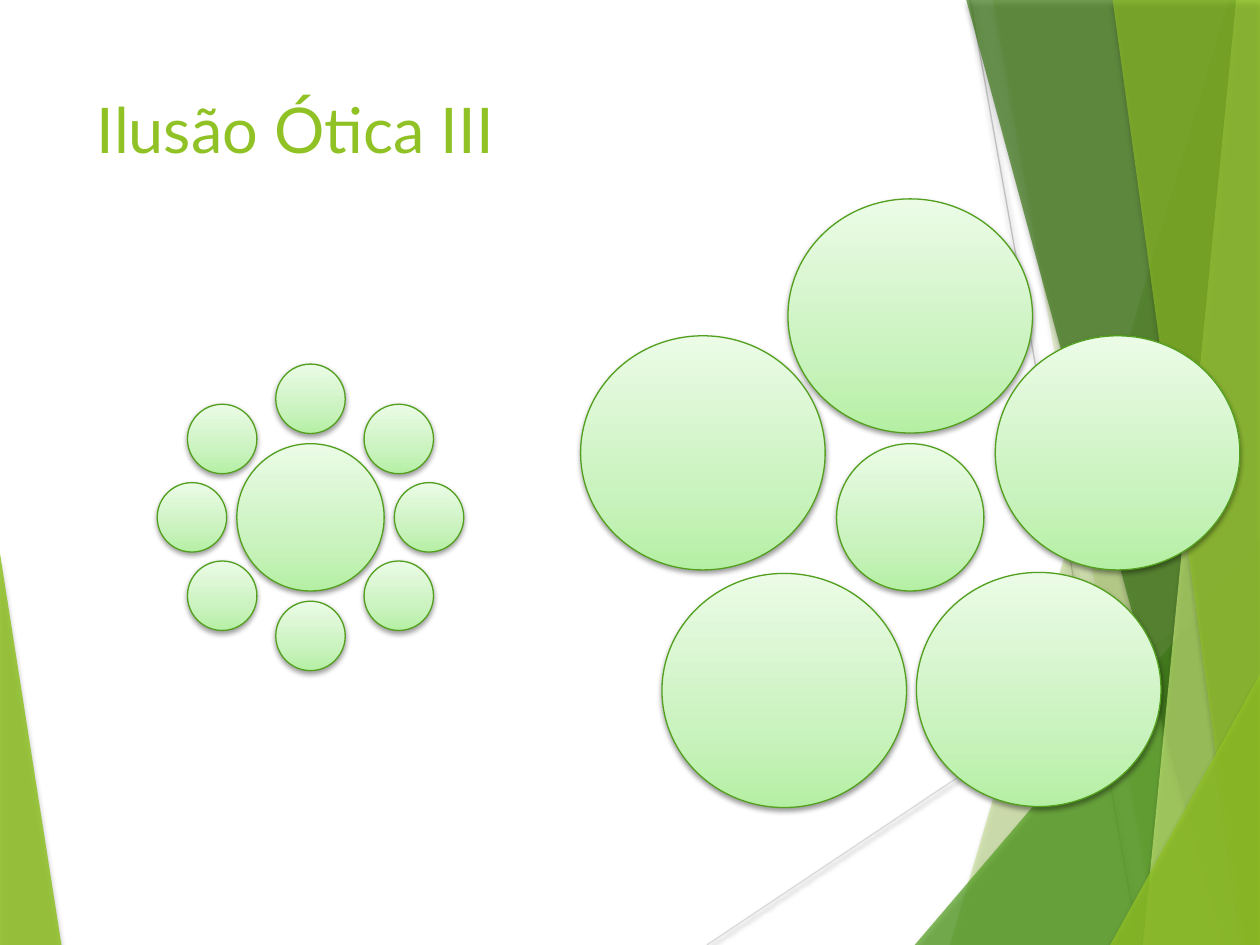
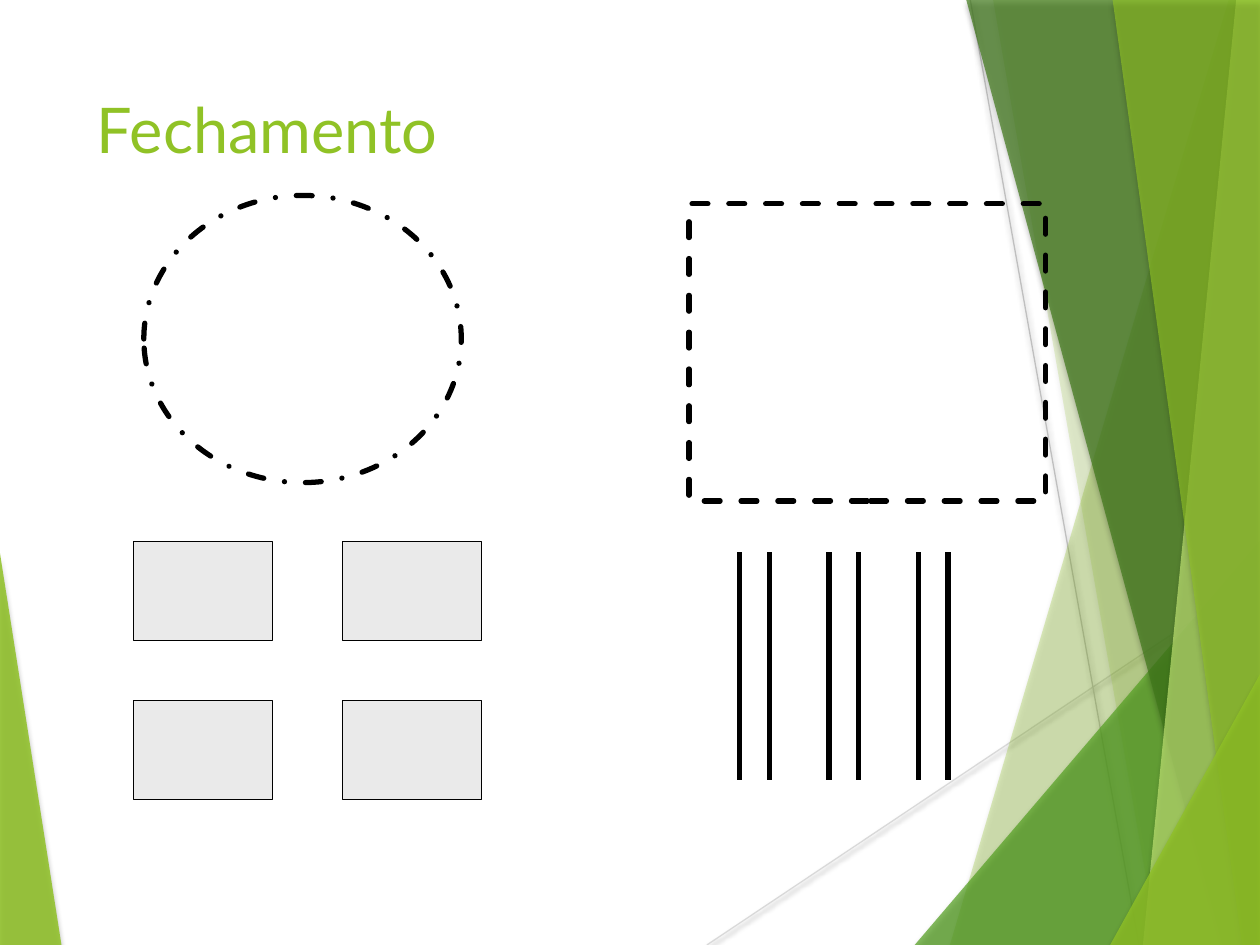
"""Build two slides on visual perception over a shared green backdrop."""
from copy import deepcopy
from itertools import product

from lxml.etree import SubElement as Sub
from pptx import Presentation
from pptx.dml.color import RGBColor
from pptx.enum.dml import MSO_LINE as Dash
from pptx.enum.shapes import MSO_CONNECTOR as Link, MSO_SHAPE as Kind
from pptx.enum.text import MSO_ANCHOR as Anchor, MSO_AUTO_SIZE as Fit, PP_ALIGN as Align
from pptx.oxml.ns import qn
from pptx.util import Cm, Pt

WIDE, HIGH = 25.4, 19.05
LIME, LEAF, MOSS, PALE = "90C226", "54A021", "3F7819", "C0E474"
BLACK, GREY, EDGE = "000000", "EAEAEA", "52A01D"
FONT = "Lato"
SOFT, DEEP = (35, 3, 2), (38, 3.1, 1.6)
GLOSS = [(0, "B5EFA4"), (0.35, "CBF3C0"), (1, "EBFBE6")]

TITLES = ["Ilusão Ótica III", "Fechamento"]
TITLE_BOX = (1.7, 1.7, 17.63, 3.66)

WING = (LIME, 85, [(0, 11.15), (1.24, HIGH), (0, HIGH)])
RAYS = [
    ("D9D9D9", (14.25, HIGH), (WIDE, 11.6)),
    ("BFBFBF", (19.56, 0), (22.96, HIGH)),
]
BANDS = [
    (LIME, 30, [(24.77, 0), (19.15, HIGH), (WIDE, HIGH), (WIDE, 0)]),
    (LIME, 20, [(20.02, 0), (23.34, HIGH), (WIDE, HIGH), (WIDE, 0)]),
    (LEAF, 72, [(18.44, HIGH), (WIDE, 10.9), (WIDE, HIGH)]),
    (MOSS, 70, [(19.48, 0), (24.64, HIGH), (WIDE, HIGH), (WIDE, 0)]),
    (PALE, 70, [(24.92, 0), (23.04, HIGH), (WIDE, HIGH), (WIDE, 0)]),
    (LIME, 65, [(22.43, 0), (25.04, HIGH), (WIDE, HIGH), (WIDE, 0)]),
    (LIME, 80, [(22.38, HIGH), (WIDE, 13.59), (WIDE, HIGH)]),
]

HUBS = [(6.26, 10.43), (18.35, 10.43)]
HUB, BEAD, PETAL = (2.97, 2.97), (1.4, 1.4), (4.93, 4.72)
REACH, SLANT = 2.39, (1.78, 1.58)
PETALS = [(0, -4.06), (2.59, 3.47), (-2.54, 3.49), (4.18, -1.3), (-4.18, -1.3)]

DASHED = [
    (Kind.OVAL, (2.9, 3.94, 6.4, 5.79), Dash.DASH_DOT),
    (Kind.RECTANGLE, (13.89, 4.11, 7.19, 5.99), Dash.DASH),
]
TILE, TILE_XS, TILE_YS = (2.8, 2), (2.69, 6.91), (10.92, 14.12)
BAR_X, BAR_TOP, BAR_END = 14.91, 11.13, 15.72
PAIR_STEP, BAR_GAP = 1.8, 0.6


def hue(code):
    """Turn a hex string into a colour."""
    return RGBColor.from_string(code)


def write(shape, text, size=36, color=BLACK, align=Align.LEFT, anchor=Anchor.TOP):
    """Put formatted text in a shape."""
    frame = shape.text_frame
    frame.word_wrap, frame.auto_size = True, Fit.NONE
    frame.vertical_anchor = anchor
    para = frame.paragraphs[0]
    para.alignment = align
    run = para.add_run()
    run.text = text
    run.font.name, run.font.size = FONT, Pt(size)
    run.font.color.rgb = hue(color)


def stroke(shape, color, width=0.75, dash=None):
    """Outline a shape, with round caps when dashed."""
    shape.line.color.rgb = hue(color)
    shape.line.width = Pt(width)
    if dash:
        shape.line.dash_style = dash
        shape.element.spPr.find(qn("a:ln")).set("cap", "rnd")


def shade(shape, cast=None):
    """Give a finished shape a downward shadow, or none."""
    effect = Sub(shape.element.spPr, qn("a:effectLst"))
    if cast:
        alpha, blur, dist = cast
        drop = Sub(effect, qn("a:outerShdw"), blurRad=str(Pt(blur)),
                   dist=str(Pt(dist)), dir="5400000", rotWithShape="0")
        tint = Sub(drop, qn("a:srgbClr"), val=BLACK)
        Sub(tint, qn("a:alpha"), val=str(alpha * 1000))


def band(slide, color, alpha, points):
    """Draw a translucent polygon."""
    spots = [(Cm(x), Cm(y)) for x, y in points]
    build = slide.shapes.build_freeform(*spots[0])
    build.add_line_segments(spots[1:], close=True)
    shape = build.convert_to_shape()
    shape.fill.solid()
    shape.fill.fore_color.rgb = hue(color)
    tint = shape.element.spPr.find(".//" + qn("a:srgbClr"))
    Sub(tint, qn("a:alpha"), val=str(alpha * 1000))
    shape.line.fill.background()
    shade(shape, SOFT)


def rule(slide, color, start, end, width=0.75, cast=None):
    """Draw a straight line."""
    line = slide.shapes.add_connector(Link.STRAIGHT, *map(Cm, start + end))
    stroke(line, color, width)
    shade(line, cast)


def ball(slide, mid, size):
    """Draw a glossy ellipse around its centre."""
    (x, y), (w, h) = mid, size
    shape = slide.shapes.add_shape(Kind.OVAL, *map(Cm, (x - w / 2, y - h / 2, w, h)))
    fill = shape.fill
    fill.gradient()
    stops = shape.element.spPr.find(".//" + qn("a:gsLst"))
    stops.insert(1, deepcopy(stops[0]))
    for stop, (place, color) in zip(fill.gradient_stops, GLOSS):
        stop.position, stop.color.rgb = place, hue(color)
    fill.gradient_angle = 90
    stroke(shape, EDGE)
    shade(shape, DEEP)


def frame(slide, kind, box, fill=None, **line):
    """Draw a flat black outline, filled or empty."""
    shape = slide.shapes.add_shape(kind, *map(Cm, box))
    if fill:
        shape.fill.solid()
        shape.fill.fore_color.rgb = hue(fill)
    else:
        shape.fill.background()
    stroke(shape, BLACK, **line)
    shade(shape)


def dress(slide, layout):
    """Draw the backdrop and move it to the layout."""
    band(slide, *WING)
    for ray in RAYS:
        rule(slide, *ray, cast=DEEP)
    for item in BANDS:
        band(slide, *item)
    parts = [s for s in slide.shapes if not s.is_placeholder]
    for num, part in enumerate(parts, 100):
        part.element.xpath(".//p:cNvPr")[0].set("id", str(num))
        layout.shapes.element.append(part.element)


def start(deck, layout, text):
    """Add a slide with its title."""
    slide = deck.slides.add_slide(layout)
    title = slide.shapes.title
    title.left, title.top, title.width, title.height = map(Cm, TITLE_BOX)
    write(title, text, color=LIME)
    return slide


def illude(slide):
    """Ring equal discs with small beads and large petals."""
    for hub in HUBS:
        ball(slide, hub, HUB)
    (bx, by), (px, py) = HUBS
    for sx, sy in product((-1, 0, 1), repeat=2):
        if sx or sy:
            dx, dy = SLANT if sx and sy else (REACH, REACH)
            ball(slide, (bx + sx * dx, by + sy * dy), BEAD)
    for dx, dy in PETALS:
        ball(slide, (px + dx, py + dy), PETAL)


def enclose(slide):
    """Draw the dashed outlines, the tiles and the paired bars."""
    for kind, box, dash in DASHED:
        frame(slide, kind, box, width=3, dash=dash)
    for y, x in product(TILE_YS, TILE_XS):
        frame(slide, Kind.RECTANGLE, (x, y) + TILE, fill=GREY)
    for pair, side in product(range(3), range(2)):
        x = BAR_X + pair * PAIR_STEP + side * BAR_GAP
        rule(slide, BLACK, (x, BAR_TOP), (x, BAR_END), width=3)


def main():
    """Build and save the deck."""
    deck = Presentation()
    deck.slide_width, deck.slide_height = Cm(WIDE), Cm(HIGH)
    layout = deck.slide_layouts[5]
    first, second = [start(deck, layout, text) for text in TITLES]
    dress(first, layout)
    illude(first)
    enclose(second)
    deck.save("out.pptx")


if __name__ == "__main__":
    main()
